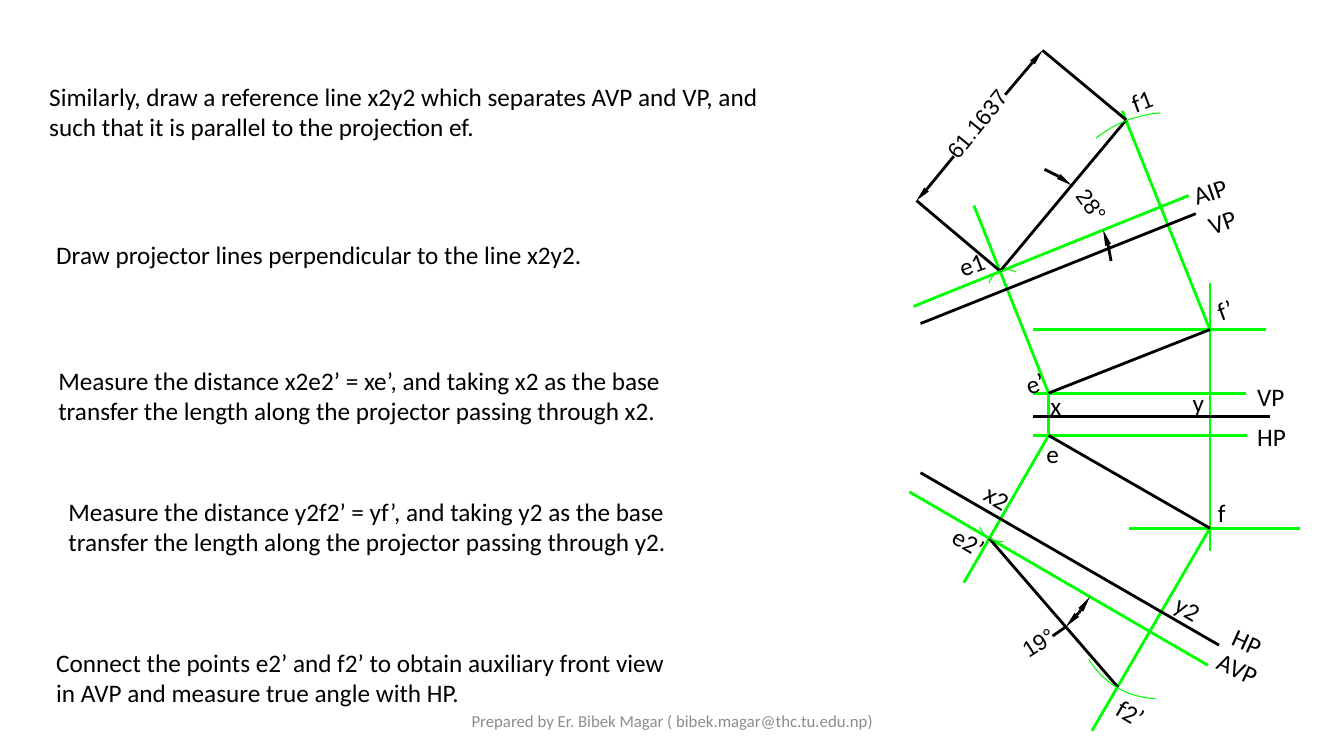
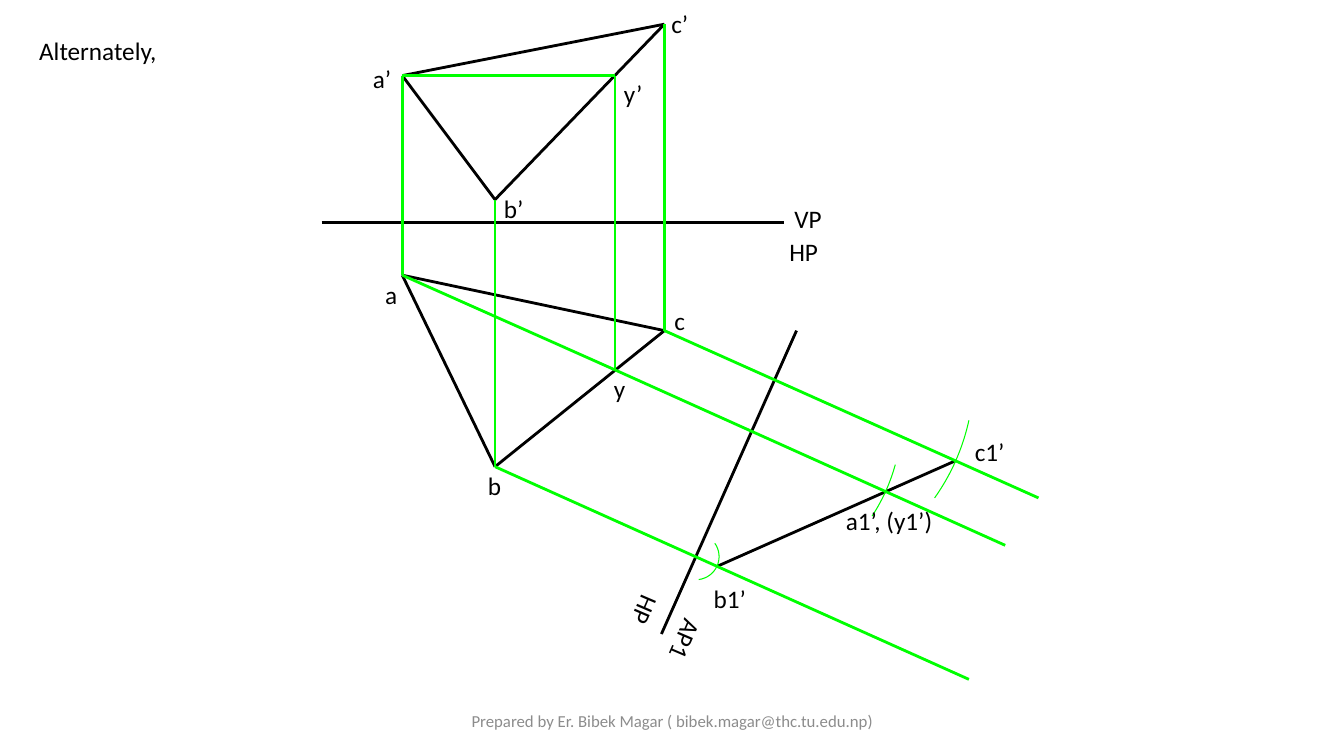
import math

from lxml import etree
from pptx import Presentation
from pptx import util as u
from pptx.dml.color import RGBColor
from pptx.enum import shapes, text
from pptx.oxml.ns import qn

BLACK = RGBColor(0x00, 0x00, 0x00)
GREEN = RGBColor(0x00, 0xFF, 0x00)
GREY = RGBColor(0x8C, 0x8C, 0x8C)
CELL = u.Inches(1)
COLUMNS, ROWS = 13.33, 7.5
FOOTER = "Prepared by Er. Bibek Magar ( bibek.magar@thc.tu.edu.np)"


def cells(count):
    return u.Emu(round(count * CELL))


class Drawing:
    """Style and current slide; every length counts grid columns or rows."""

    def __init__(self):
        self.deck = Presentation()
        self.deck.slide_width = cells(COLUMNS)
        self.deck.slide_height = cells(ROWS)
        self.slide = None

    def new_slide(self):
        self.slide = self.deck.slides.add_slide(self.deck.slide_layouts[6])
        footer = self.label(FOOTER, 4.42, 6.95, 4.5, size=12, color=GREY)
        footer.text_frame.auto_size = text.MSO_AUTO_SIZE.NONE
        footer.text_frame.vertical_anchor = text.MSO_ANCHOR.MIDDLE
        footer.text_frame.paragraphs[0].alignment = text.PP_ALIGN.CENTER

    def label(self, words, left, top, width=0.51, height=0.4, turn=0,
              size=18, font="Calibri", color=BLACK):
        box = self.slide.shapes.add_textbox(
            cells(left), cells(top), cells(width), cells(height))
        box.rotation = turn
        frame = box.text_frame
        frame.word_wrap = True
        frame.auto_size = text.MSO_AUTO_SIZE.SHAPE_TO_FIT_TEXT
        para = frame.paragraphs[0]
        para.text = words
        para.font.size = u.Pt(size)
        para.font.name = font
        para.font.color.rgb = color
        return box

    def measure(self, words, left, top, width, turn):
        """Write a dimension without margins along its dimension line."""
        box = self.label(words, left, top, width, 0.3, turn, 16, "Arial")
        frame = box.text_frame
        frame.word_wrap = False
        frame.margin_left = frame.margin_right = 0
        frame.margin_top = frame.margin_bottom = 0

    def line(self, start, end, color=BLACK):
        line = self.slide.shapes.add_connector(
            shapes.MSO_CONNECTOR.STRAIGHT, *map(cells, (*start, *end)))
        line.line.color.rgb = color
        line.line.width = u.Pt(0)
        etree.SubElement(line._element.spPr, qn("a:effectLst"))

    def lines(self, pairs, color=BLACK):
        for start, end in pairs:
            self.line(start, end, color)

    def outline(self, points, close):
        points = [(cells(x), cells(y)) for x, y in points]
        builder = self.slide.shapes.build_freeform(*points[0], scale=1.0)
        builder.add_line_segments(points[1:], close=close)
        shape = builder.convert_to_shape()
        shape.shadow.inherit = False
        return shape

    def arc(self, start, middle, end, steps=16):
        """Draw the circular arc through three points, under half a turn."""
        (ax, ay), (bx, by), (cx, cy) = start, middle, end
        area = 2 * (ax * (by - cy) + bx * (cy - ay) + cx * (ay - by))
        a, b, c = (x * x + y * y for x, y in (start, middle, end))
        x = (a * (by - cy) + b * (cy - ay) + c * (ay - by)) / area
        y = (a * (cx - bx) + b * (ax - cx) + c * (bx - ax)) / area
        radius = math.hypot(ax - x, ay - y)
        first = math.atan2(ay - y, ax - x)
        sweep = math.remainder(math.atan2(cy - y, cx - x) - first, math.tau)
        angles = [first + sweep * i / steps for i in range(steps + 1)]
        shape = self.outline([(x + radius * math.cos(angle), y + radius * math.sin(angle))
                              for angle in angles], close=False)
        shape.fill.background()
        shape.line.color.rgb = GREEN
        shape.line.width = u.Pt(0)

    def arrow(self, tail, neck, tip, half_width=0.03):
        """Draw a line from tail to neck and a slim solid head to the tip."""
        self.line(tail, neck)
        dx, dy = tip[0] - neck[0], tip[1] - neck[1]
        share = half_width / math.hypot(dx, dy)
        side_x, side_y = -dy * share, dx * share
        head = self.outline([(neck[0] + side_x, neck[1] + side_y),
                             (neck[0] - side_x, neck[1] - side_y), tip], close=True)
        head.fill.solid()
        head.fill.fore_color.rgb = BLACK
        head.line.fill.background()


def auxiliary_views(page):
    page.new_slide()
    e_front, f_front = (10.4, 3.9), (12, 3.27)
    e_top, f_top = (10.4, 4.32), (12, 5.24)
    e1, f1 = (9.92, 2.69), (11.17, 1.19)
    e2, f2 = (9.81, 5.34), (11.09, 6.82)
    size_start, size_end = (9.09, 1.99), (10.34, 0.5)

    page.lines([
        ((11.2, 5.24), (12.89, 5.24)), ((10.25, 3.27), (12.56, 3.27)),
        ((10.25, 4.32), (12.37, 4.32)), ((10.25, 3.9), (12.36, 3.9)),
        ((12, 2.81), (12, 5.47)), ((9.06, 3.04), (11.79, 1.94)),
        ((9.02, 4.88), (11.98, 6.6)), (e_front, e_top),
        (e_front, (9.66, 2.04)), (f_front, (11.13, 1.1)),
        (e_top, (9.56, 5.78)), (f_top, (10.83, 7.25)),
    ], GREEN)
    page.lines([
        ((10.25, 4.13), (12.6, 4.13)), ((9.13, 3.21), (11.86, 2.12)),
        ((9.13, 4.69), (12.09, 6.4)), (e_front, f_front), (e_top, f_top),
        (e1, f1), (e2, f2), (e1, size_start), (f1, size_end),
        ((10.44, 6.31), (10.57, 6.22)),
    ])
    for points in [
        ((11.51, 1.12), (11.19, 1.19), (10.87, 1.37)),
        ((10.08, 2.7), (9.94, 2.68), (9.81, 2.81)),
        ((9.72, 5.23), (9.81, 5.34), (9.95, 5.37)),
        ((10.8, 6.54), (11.08, 6.82), (11.46, 6.93)),
    ]:
        page.arc(*points)
    for points in [
        ((11.02, 2.59), (10.99, 2.43), (10.94, 2.28)),
        ((10.36, 1.68), (10.5, 1.75), (10.63, 1.84)),
        ((10.7, 6.08), (10.68, 6.1), (10.57, 6.22)),
        ((10.7, 6.08), (10.72, 6.05), (10.81, 5.92)),
        ((9.46, 1.55), (9.19, 1.88), size_start),
        ((9.97, 0.94), (10.24, 0.62), size_end),
    ]:
        page.arrow(*points)

    page.measure("28°", 10.63, 1.93, 0.43, 54)
    page.measure("19°", 10.13, 6.21, 0.43, 327)
    page.measure("61.1637", 9.28, 1.05, 0.9, 309)

    page.label("AIP", 11.73, 1.67, 0.68, turn=340.9)
    page.label("VP", 11.88, 1.96, 0.68, turn=340.9)
    page.label("AVP", 11.97, 6.46, 0.75, turn=24.3)
    page.label("e2’", 9.35, 5.19, 0.57, turn=30.3)
    for turn, labels in {
        0: [("VP", 12.37, 3.73), ("HP", 12.37, 4.13), ("e", 10.28, 4.3),
            ("f", 11.98, 4.88), ("x", 10.32, 3.82), ("y", 11.73, 3.79)],
        24.3: [("HP", 12.13, 6.17)],
        30.3: [("x2", 9.67, 4.75), ("y2", 11.56, 5.85), ("f2’", 10.98, 6.88)],
        339.7: [("f1", 11.12, 0.78), ("e1", 9.41, 2.41),
                ("f’", 11.97, 2.84), ("e’", 10.07, 3.58)],
    }.items():
        for words, left, top in labels:
            page.label(words, left, top, turn=turn)

    for words, left, top, width, height in [
        ("Similarly, draw a reference line x2y2 which separates AVP and VP, and "
         "such that it is parallel to the projection ef.", 0.39, 0.76, 7.4, 0.71),
        ("Draw projector lines perpendicular to the line x2y2.", 0.46, 2.33, 6.6, 0.4),
        ("Measure the distance x2e2’ = xe’, and taking x2 as the base transfer "
         "the length along the projector passing through x2.", 0.48, 3.57, 6.47, 0.71),
        ("Measure the distance y2f2’ = yf’, and taking y2 as the base transfer "
         "the length along the projector passing through y2.", 0.58, 4.87, 6.47, 0.71),
        ("Connect the points e2’ and f2’ to obtain auxiliary front view in AVP "
         "and measure true angle with HP.", 0.46, 6.37, 6.47, 0.71),
    ]:
        page.label(words, left, top, width, height)


def alternate_method(page):
    page.new_slide()
    a_front, b_front, c_front, y_front = (3.99, 0.75), (4.91, 1.98), (6.59, 0.24), (6.1, 0.75)
    a_top, b_top, c_top, y_top = (3.99, 2.73), (4.91, 4.63), (6.59, 3.28), (6.1, 3.67)

    for a, b, c in [(a_top, b_top, c_top), (a_front, b_front, c_front)]:
        page.lines([(a, b), (b, c), (c, a)])
    page.lines([
        ((3.19, 2.21), (7.78, 2.21)), ((7.9, 3.28), (6.56, 6.29)),
        ((7.11, 5.62), (9.48, 4.57)),
    ])
    page.lines([
        (a_top, a_front), (b_top, b_front), (c_top, c_front), (y_front, y_top),
        (a_front, y_front), (y_top, a_top), (y_top, (9.97, 5.41)),
        (c_top, (10.3, 4.94)), (b_top, (9.61, 6.74)),
    ], GREEN)
    for points in [
        ((6.93, 5.75), (7.11, 5.62), (7.09, 5.39)),
        ((9.27, 4.94), (9.48, 4.57), (9.61, 4.17)),
        ((8.65, 5.12), (8.8, 4.84), (8.88, 4.61)),
    ]:
        page.arc(*points)

    page.label("Alternately,", 0.29, 0.3, 2.05)
    for words, left, top in [
        ("a’", 3.6, 0.58), ("b’", 4.9, 1.87), ("c’", 6.56, 0.03), ("y’", 6.09, 0.73),
        ("a", 3.72, 2.72), ("b", 4.74, 4.62), ("c", 6.59, 2.98), ("y", 5.99, 3.65),
        ("c1’", 9.57, 4.28), ("HP", 7.73, 2.3), ("VP", 7.78, 1.97),
    ]:
        page.label(words, left, top)
    page.label("b1’", 6.98, 5.74, 0.75)
    page.label("a1’, (y1’)", 8.29, 4.96, 1.18)
    page.label("AP1", 6.48, 6.16, 0.63, turn=113.2)
    page.label("HP", 6.14, 5.87, turn=113.2)


def main():
    page = Drawing()
    auxiliary_views(page)
    alternate_method(page)
    page.deck.save("out.pptx")


if __name__ == "__main__":
    main()
